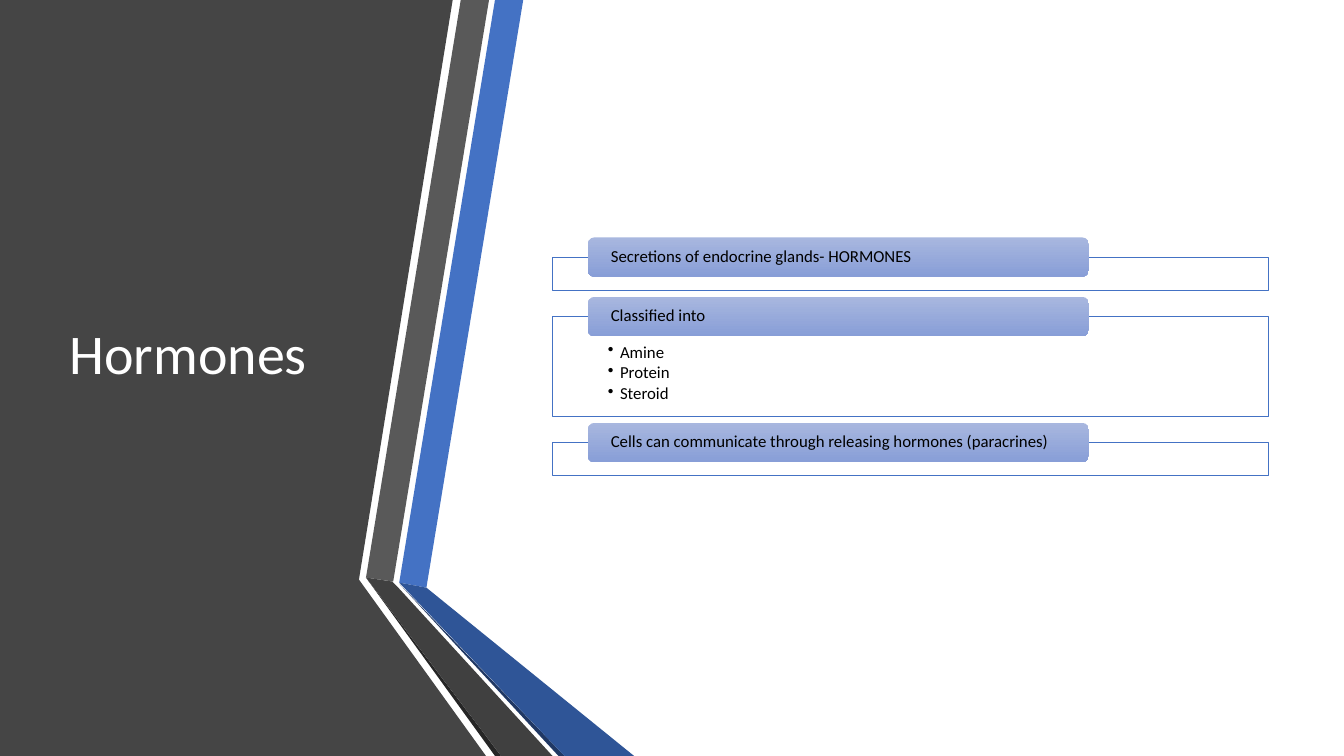
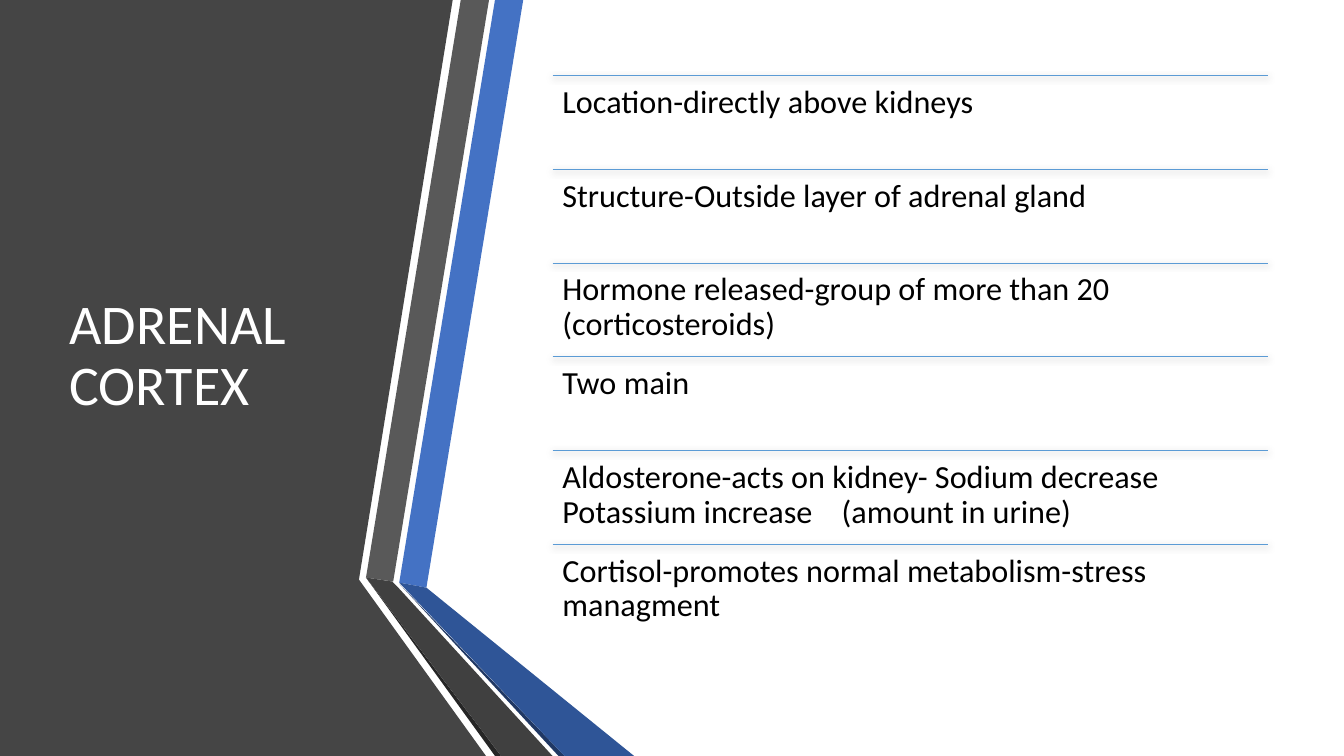
"""Build two slides on hormones and the adrenal cortex."""
from lxml.etree import SubElement
from pptx import Presentation
from pptx.dml.color import RGBColor
from pptx.enum.shapes import MSO_CONNECTOR as CONNECTOR, MSO_SHAPE as SHAPE
from pptx.enum.text import MSO_ANCHOR as ANCHOR, MSO_AUTO_SIZE as AUTO_SIZE, PP_ALIGN as ALIGN
from pptx.oxml.ns import qn
from pptx.util import Inches, Pt

HORMONE_SECTIONS = [
    ("Secretions of endocrine glands- HORMONES", []),
    ("Classified into", ["Amine", "Protein", "Steroid"]),
    ("Cells can communicate through releasing hormones (paracrines)", []),
]
CORTEX_FACTS = [
    "Location-directly above kidneys",
    "Structure-Outside layer of adrenal gland",
    "Hormone released-group of more than 20 (corticosteroids)",
    "Two main",
    "Aldosterone-acts on kidney- Sodium decrease Potassium increase\t(amount in urine)",
    "Cortisol-promotes normal metabolism-stress managment",
]

FONT = "Calibri"
WHITE = RGBColor(0xFF, 0xFF, 0xFF)
BLACK = RGBColor(0x00, 0x00, 0x00)
CHARCOAL = RGBColor(0x45, 0x45, 0x45)
GRAY = RGBColor(0x59, 0x59, 0x59)
GRAY_FOLD = RGBColor(0x40, 0x40, 0x40)
GRAY_EDGE = RGBColor(0x26, 0x26, 0x26)
BLUE = RGBColor(0x44, 0x72, 0xC4)
BLUE_FOLD = RGBColor(0x2F, 0x55, 0x97)
BLUE_EDGE = RGBColor(0x20, 0x38, 0x64)
RULE_BLUE = RGBColor(0x5B, 0x9B, 0xD5)
HEADING_TOP = RGBColor(0xA8, 0xB7, 0xDF)
HEADING_BOTTOM = RGBColor(0x88, 0x9E, 0xD7)

SIDE_PANEL = [(0, 0), (4.49, 0), (3.56, 5.75), (4.82, 7.5), (0, 7.5)]
BANDS = [
    (BLUE, [(3.96, 5.78), (4.23, 5.83), (5.19, 0), (4.91, 0)]),
    (GRAY, [(4.85, 0), (4.57, 0), (3.63, 5.73), (3.9, 5.77)]),
    (GRAY_EDGE, [(3.63, 5.73), (4.91, 7.5), (4.97, 7.5)]),
    (BLUE_EDGE, [(3.96, 5.79), (5.54, 7.5), (5.6, 7.5)]),
    (BLUE_FOLD, [(3.96, 5.78), (5.6, 7.5), (6.29, 7.5), (4.23, 5.83)]),
    (GRAY_FOLD, [(5.48, 7.5), (3.95, 5.83), (3.89, 5.77), (3.63, 5.73), (4.97, 7.5)]),
]
CONTENT_LEFT, CONTENT_WIDTH = 5.48, 7.1
SECTIONS_TOP, SECTION_GAP = 2.55, 0.26
EMPTY_HEIGHT, LISTED_HEIGHT = 0.33, 0.99
HEADING_INDENT, HEADING_WIDTH, HEADING_HEIGHT = 0.35, 4.97, 0.39
FACTS_TOP, FACT_HEIGHT = 0.75, 0.93
TAB_STOP = 2.77


def write_text(shape, lines, size, color=BLACK, anchor=ANCHOR.TOP,
               insets=(0.1, 0.05, 0.1, 0.05), bullet=False, space_after=0, tab_stop=None):
    """Fill a shape with formatted paragraphs."""
    frame = shape.text_frame
    frame.word_wrap = True
    frame.auto_size = AUTO_SIZE.NONE
    frame.vertical_anchor = anchor
    (frame.margin_left, frame.margin_top,
     frame.margin_right, frame.margin_bottom) = map(Inches, insets)
    for number, line in enumerate(lines):
        paragraph = frame.add_paragraph() if number else frame.paragraphs[0]
        properties = paragraph._p.get_or_add_pPr()
        if bullet:
            paragraph.level = 1
            properties.set("marL", str(Inches(0.12)))
            properties.set("indent", str(-Inches(0.12)))
            SubElement(properties, qn("a:buChar"), char="•")
        if tab_stop and "\t" in line:
            tabs = SubElement(properties, qn("a:tabLst"))
            SubElement(tabs, qn("a:tab"), pos=str(Inches(tab_stop)), algn="l")
        paragraph.alignment = ALIGN.LEFT
        paragraph.line_spacing = 0.9
        paragraph.space_after = Pt(space_after)
        run = paragraph.add_run()
        run.text = line
        run.font.name, run.font.size = FONT, Pt(size)
        run.font.color.rgb = color


def add_outline(shapes, color, points):
    """Draw a closed, filled outline without a border."""
    corners = [(Inches(x), Inches(y)) for x, y in points]
    builder = shapes.build_freeform(*corners[0])
    builder.add_line_segments(corners[1:], close=True)
    outline = builder.convert_to_shape()
    outline.shadow.inherit = False
    outline.fill.solid()
    outline.fill.fore_color.rgb = color
    outline.line.fill.background()


def add_titled_slide(deck, heading):
    """Add a slide with the folded bands and a title on the dark side panel."""
    slide = deck.slides.add_slide(deck.slide_layouts[5])
    add_outline(slide.shapes, CHARCOAL, SIDE_PANEL)
    bands = slide.shapes.add_group_shape()
    for color, points in BANDS:
        add_outline(bands.shapes, color, points)
    title = slide.shapes.title
    title.left, title.top, title.width, title.height = map(Inches, (0.59, 0.75, 3.04, 5.58))
    write_text(title, [heading], 40, WHITE, ANCHOR.MIDDLE)
    bands.element.addnext(title.element)
    return slide


def add_section(slide, top, height, heading, items):
    """Draw a bordered panel with a heading pill on its top edge."""
    panel = slide.shapes.add_shape(SHAPE.RECTANGLE, *map(
        Inches, (CONTENT_LEFT, top, CONTENT_WIDTH, height)))
    panel.shadow.inherit = False
    panel.fill.solid()
    panel.fill.fore_color.rgb = WHITE
    panel.line.color.rgb, panel.line.width = BLUE, Pt(0.5)
    if items:
        write_text(panel, items, 12, insets=(0.55, 0.27, 0.55, 0.09), bullet=True, space_after=1.8)
    pill = slide.shapes.add_shape(SHAPE.ROUNDED_RECTANGLE, *map(
        Inches, (CONTENT_LEFT + HEADING_INDENT, top - HEADING_HEIGHT / 2,
                 HEADING_WIDTH, HEADING_HEIGHT)))
    pill.shadow.inherit = False
    pill.line.fill.background()
    pill.fill.gradient()
    pill.fill.gradient_angle = 270
    for stop, color in zip(pill.fill.gradient_stops, (HEADING_TOP, HEADING_BOTTOM)):
        stop.color.rgb = color
    write_text(pill, [heading], 12, anchor=ANCHOR.MIDDLE, insets=(0.21, 0, 0.21, 0))


def add_fact(slide, top, fact):
    """Draw a softly shadowed rule with a fact below it."""
    left, right = Inches(CONTENT_LEFT), Inches(CONTENT_LEFT + CONTENT_WIDTH)
    rule = slide.shapes.add_connector(CONNECTOR.STRAIGHT, left, Inches(top), right, Inches(top))
    rule.line.color.rgb, rule.line.width = RULE_BLUE, Pt(0.5)
    effects = SubElement(rule.element.spPr, qn("a:effectLst"))
    shadow = SubElement(effects, qn("a:outerShdw"), blurRad=str(Pt(4.5)), dist=str(Pt(1.5)),
                        dir="5400000", algn="ctr", rotWithShape="0")
    shade = SubElement(shadow, qn("a:srgbClr"), val=str(BLACK))
    SubElement(shade, qn("a:alpha"), val="63000")
    label = slide.shapes.add_textbox(left, Inches(top), right - left, Inches(FACT_HEIGHT))
    write_text(label, [fact], 23, insets=(0.1, 0.1, 0.1, 0.1), tab_stop=TAB_STOP)


def main():
    """Build and save both slides."""
    deck = Presentation()
    deck.slide_width, deck.slide_height = Inches(13.33), Inches(7.5)

    hormones = add_titled_slide(deck, "Hormones")
    top = SECTIONS_TOP
    for heading, items in HORMONE_SECTIONS:
        height = LISTED_HEIGHT if items else EMPTY_HEIGHT
        add_section(hormones, top, height, heading, items)
        top += height + SECTION_GAP

    cortex = add_titled_slide(deck, "ADRENAL CORTEX")
    for row, fact in enumerate(CORTEX_FACTS):
        add_fact(cortex, FACTS_TOP + row * FACT_HEIGHT, fact)

    deck.save("out.pptx")


if __name__ == "__main__":
    main()
